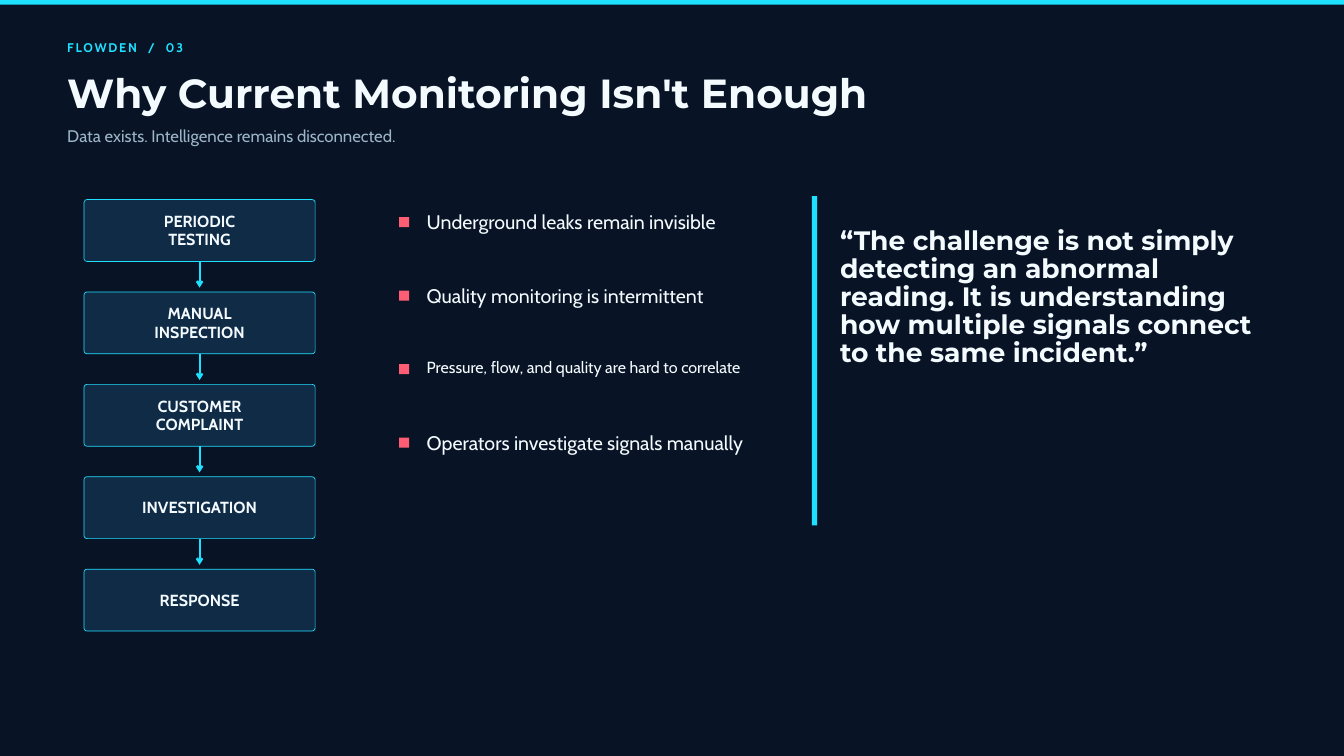
from pptx import Presentation
from pptx import util as u
from pptx.dml import color
from pptx.enum import shapes, text
from pptx.oxml import ns
from lxml import etree

CYAN, WHITE, NAVY, PANEL, CORAL, GREY = (
    "20E0FF", "F4FBFF", "081426", "102B46", "FF5D73", "9DB5C8")
BODY_FONT, HEAD_FONT = "Cabin", "Montserrat"

STEPS = ["PERIODIC\nTESTING", "MANUAL\nINSPECTION", "CUSTOMER\nCOMPLAINT",
         "INVESTIGATION", "RESPONSE"]
STEP_LEFT, STEP_TOP, STEP_WIDTH, STEP_HEIGHT, STEP_PITCH = 1.25, 2.97, 3.44, 0.92, 1.375

# Wording, text size and line height in points
ISSUES = [
    ("Underground leaks remain invisible", 21, 27.3),
    ("Quality monitoring is intermittent", 21, 27.3),
    ("Pressure, flow, and quality are hard to correlate", 17.2, 22.4),
    ("Operators investigate signals manually", 21, 27.3),
]
ISSUE_PITCH = 1.094


def rgb(value):
    return color.RGBColor.from_string(value)


class SlideBuilder:
    """Holds the slide being built and its shared style."""

    def __init__(self, deck):
        self.slide = deck.slides.add_slide(deck.slide_layouts[1])
        fill = self.slide.background.fill
        fill.solid()
        fill.fore_color.rgb = rgb(NAVY)

    def place(self, box, left, top, width, height):
        box.left, box.top, box.width, box.height = map(
            u.Inches, (left, top, width, height))

    def frame(self, box, margin=0, anchor=text.MSO_ANCHOR.TOP):
        frame = box.text_frame
        frame.word_wrap = True
        frame.auto_size = text.MSO_AUTO_SIZE.NONE
        frame.vertical_anchor = anchor
        frame.margin_left = frame.margin_right = u.Inches(margin)
        frame.margin_top = frame.margin_bottom = u.Inches(margin)
        return frame

    def format(self, para, size, leading, font=BODY_FONT, ink=WHITE, bold=False,
               align=text.PP_ALIGN.LEFT):
        para.alignment = align
        para.line_spacing = u.Pt(leading)
        para.space_before = u.Pt(0)
        for span in para.runs:
            span.font.name = font
            span.font.size = u.Pt(size)
            span.font.bold = bold
            span.font.color.rgb = rgb(ink)

    def title(self, words, area, **style):
        box = self.slide.shapes.title
        self.place(box, *area)
        frame = self.frame(box)
        frame.text = words
        self.format(frame.paragraphs[0], **style)

    def label(self, words, area, tracking=0, **style):
        box = self.slide.shapes.add_textbox(*map(u.Inches, area))
        frame = self.frame(box)
        frame.text = words
        para = frame.paragraphs[0]
        self.format(para, **style)
        if tracking:
            para.runs[0].font._element.set("spc", str(round(tracking * 100)))

    def spaced_list(self, items, area, pitch):
        """Fill the body placeholder, with line tops one pitch apart."""
        box = self.slide.placeholders[1]
        self.place(box, *area)
        frame = self.frame(box)
        frame.text = "\n".join(words for words, _, _ in items)
        for para, (_, size, leading) in zip(frame.paragraphs, items):
            properties = para._p.get_or_add_pPr()
            properties.set("marL", "0")
            properties.set("indent", "0")
            etree.SubElement(properties, ns.qn("a:buNone"))
            self.format(para, size, leading)
            para.space_after = u.Pt(round(pitch * 72 - leading, 2))

    def block(self, area, fill, kind=shapes.MSO_SHAPE.RECTANGLE):
        shape = self.slide.shapes.add_shape(kind, *map(u.Inches, area))
        shape.shadow.inherit = False
        shape.fill.solid()
        shape.fill.fore_color.rgb = rgb(fill)
        shape.line.fill.background()
        return shape

    def step(self, words, area):
        card = self.block(area, PANEL, shapes.MSO_SHAPE.ROUNDED_RECTANGLE)
        card.adjustments[0] = 0.05
        card.line.color.rgb = rgb(CYAN)
        card.line.width = u.Pt(0.75)
        frame = self.frame(card, 0.06, text.MSO_ANCHOR.MIDDLE)
        frame.text = words
        for para in frame.paragraphs:
            self.format(para, 17.2, 19.8, bold=True, align=text.PP_ALIGN.CENTER)

    def down_arrow(self, x, top, bottom):
        arrow = self.slide.shapes.add_connector(
            shapes.MSO_CONNECTOR.STRAIGHT, *map(u.Inches, (x, top, x, bottom)))
        arrow.line.color.rgb = rgb(CYAN)
        arrow.line.width = u.Pt(2.25)
        etree.SubElement(arrow.line._get_or_add_ln(), ns.qn("a:tailEnd"), type="arrow")
        etree.SubElement(arrow._element.spPr, ns.qn("a:effectLst"))


def main():
    deck = Presentation()
    deck.slide_width, deck.slide_height = u.Inches(20), u.Inches(11.25)
    page = SlideBuilder(deck)

    page.block((0, 0, 20, 0.07), CYAN)
    page.label("FLOWDEN  /  03", (1, 0.56, 6.25, 0.25), tracking=1.9,
               size=13.5, leading=18.9, ink=CYAN, bold=True)
    page.title("Why Current Monitoring Isn't Enough", (1, 1.1, 15.62, 0.66),
               size=43.5, leading=45.7, font=HEAD_FONT, bold=True)
    page.label("Data exists. Intelligence remains disconnected.",
               (1, 1.83, 14.58, 0.32), size=18, leading=24.3, ink=GREY)

    for index, words in enumerate(STEPS):
        top = STEP_TOP + index * STEP_PITCH
        page.step(words, (STEP_LEFT, top, STEP_WIDTH, STEP_HEIGHT))
        if index < len(STEPS) - 1:
            bottom = top + STEP_HEIGHT
            page.down_arrow(STEP_LEFT + STEP_WIDTH / 2, bottom, bottom + 0.39)

    page.spaced_list(ISSUES, (6.35, 3.1, 5.21, 3.65), ISSUE_PITCH)
    for index in range(len(ISSUES)):
        page.block((5.94, 3.23 + index * ISSUE_PITCH, 0.15, 0.15), CORAL)

    page.block((12.08, 2.92, 0.08, 4.9), CYAN)
    page.label("“The challenge is not simply detecting an abnormal reading. "
               "It is understanding how multiple signals connect to the same incident.”",
               (12.5, 3.39, 6.15, 2.04), size=28.5, leading=29.9,
               font=HEAD_FONT, bold=True)

    deck.save("out.pptx")


if __name__ == "__main__":
    main()
